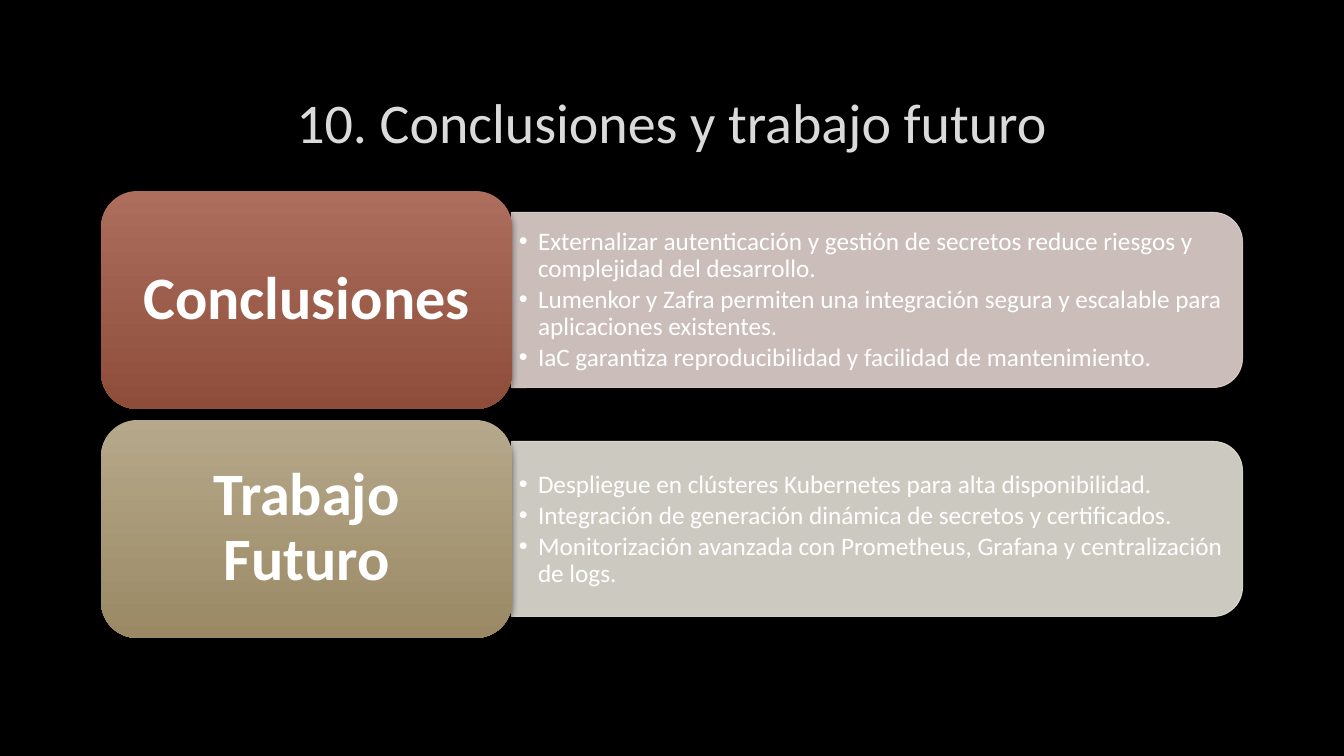
import pptx
import pptx.util
import pptx.dml.color
import pptx.enum.shapes
import pptx.enum.text
import pptx.oxml
import pptx.oxml.ns

PX = 9144000 / 1008  # EMU per px, at 100.8 px to the inch
COLORS = {"background": "000000", "title": "DADADA", "text": "FFFFFF"}
ALIGN = pptx.enum.text.PP_ALIGN
SHAPE = pptx.enum.shapes.MSO_SHAPE

SECTIONS = [
    {"name": "Conclusiones", "top": "AD6E5E", "bottom": "8E4D3A", "panel": "E1D2CF",
     "points": [
         "Externalizar autenticación y gestión de secretos reduce riesgos y complejidad del desarrollo.",
         "Lumenkor y Zafra permiten una integración segura y escalable para aplicaciones existentes.",
         "IaC garantiza reproducibilidad y facilidad de mantenimiento."]},
    {"name": "Trabajo Futuro", "top": "B6A88B", "bottom": "9A8964", "panel": "E3DFD7",
     "points": [
         "Despliegue en clústeres Kubernetes para alta disponibilidad.",
         "Integración de generación dinámica de secretos y certificados.",
         "Monitorización avanzada con Prometheus, Grafana y centralización de logs."]},
]


def px(*lengths):
    return [pptx.util.Emu(round(length * PX)) for length in lengths]


def write(shape, lines, size, color="text", bold=False, align=ALIGN.CENTER,
          spacing=1.0, after=0, indent=0, insets=(10, 5)):
    frame = shape.text_frame
    frame.word_wrap = True
    frame.auto_size = pptx.enum.text.MSO_AUTO_SIZE.NONE
    frame.vertical_anchor = pptx.enum.text.MSO_ANCHOR.MIDDLE
    frame.margin_left, frame.margin_top = px(*insets)
    frame.margin_right, frame.margin_bottom = px(*insets)
    frame.text = "\n".join(lines)
    for paragraph in frame.paragraphs:
        paragraph.alignment = align
        paragraph.line_spacing = spacing
        paragraph.space_before = pptx.util.Pt(0)
        paragraph.space_after = pptx.util.Pt(after)
        if indent:
            hang = px(indent)[0]
            properties = paragraph._p.get_or_add_pPr()
            properties.set("marL", str(hang))
            properties.set("indent", str(-hang))
        font = paragraph.runs[0].font
        font.name = "Calibri"
        font.size = pptx.util.Pt(size)
        font.bold = bold
        font.color.rgb = pptx.dml.color.RGBColor.from_string(COLORS[color])


# Slide with a title and two lists
deck = pptx.Presentation()
deck.slide_width, deck.slide_height = px(1344, 756)
slide = deck.slides.add_slide(deck.slide_layouts[3])
slide.background.fill.solid()
slide.background.fill.fore_color.rgb = pptx.dml.color.RGBColor.from_string(COLORS["background"])

# Title
title, *point_lists = slide.placeholders
title.left, title.top, title.width, title.height = px(101, 68, 1141, 107)
write(title, ["10. Conclusiones y trabajo futuro"], 40, color="title")

for row, (section, points) in enumerate(zip(SECTIONS, point_lists)):
    card_top = 191 + 229 * row
    middle = card_top + 109

    # Panel turned a quarter, so its rounded end points right
    length, depth = 731, 175
    panel = slide.shapes.add_shape(
        SHAPE.ROUND_2_SAME_RECTANGLE,
        *px(877 - depth / 2, middle - length / 2, depth, length))
    panel.rotation = 90
    panel.shadow.inherit = False
    panel_color = pptx.dml.color.RGBColor.from_string(section["panel"])
    panel.fill.solid()
    panel.fill.fore_color.rgb = panel_color
    panel.line.color.rgb = panel_color
    panel.line.width = pptx.util.Pt(0.75)
    for color in panel._element.spPr.iter(pptx.oxml.ns.qn("a:srgbClr")):
        color.append(pptx.oxml.parse_xml(
            f'<a:alpha {pptx.oxml.ns.nsdecls("a")} val="90000"/>'))

    # Points, placed in front of the panel
    points.left, points.top, points.width, points.height = px(512, middle - 78, 722, 157)
    write(points, section["points"], 18, align=ALIGN.LEFT,
          spacing=0.9, after=2.7, indent=19, insets=(7, 4))
    panel._element.addnext(points._element)

    # Card with the section name
    card = slide.shapes.add_shape(SHAPE.ROUNDED_RECTANGLE, *px(101, card_top, 411, 218))
    card.line.fill.background()
    card.fill.gradient()
    card.fill.gradient_angle = 270
    for stop, end in zip(card.fill.gradient_stops, ("top", "bottom")):
        stop.color.rgb = pptx.dml.color.RGBColor.from_string(section[end])
    card.shadow.inherit = False
    effects = card._element.spPr.find(pptx.oxml.ns.qn("a:effectLst"))
    effects.append(pptx.oxml.parse_xml(
        f'<a:outerShdw {pptx.oxml.ns.nsdecls("a")} blurRad="63500" dist="25400" dir="5400000" '
        'rotWithShape="0"><a:srgbClr val="000000"><a:alpha val="60000"/></a:srgbClr></a:outerShdw>'))
    write(card, [section["name"]], 43, bold=True, spacing=0.9, insets=(18, 9))

deck.save("out.pptx")
